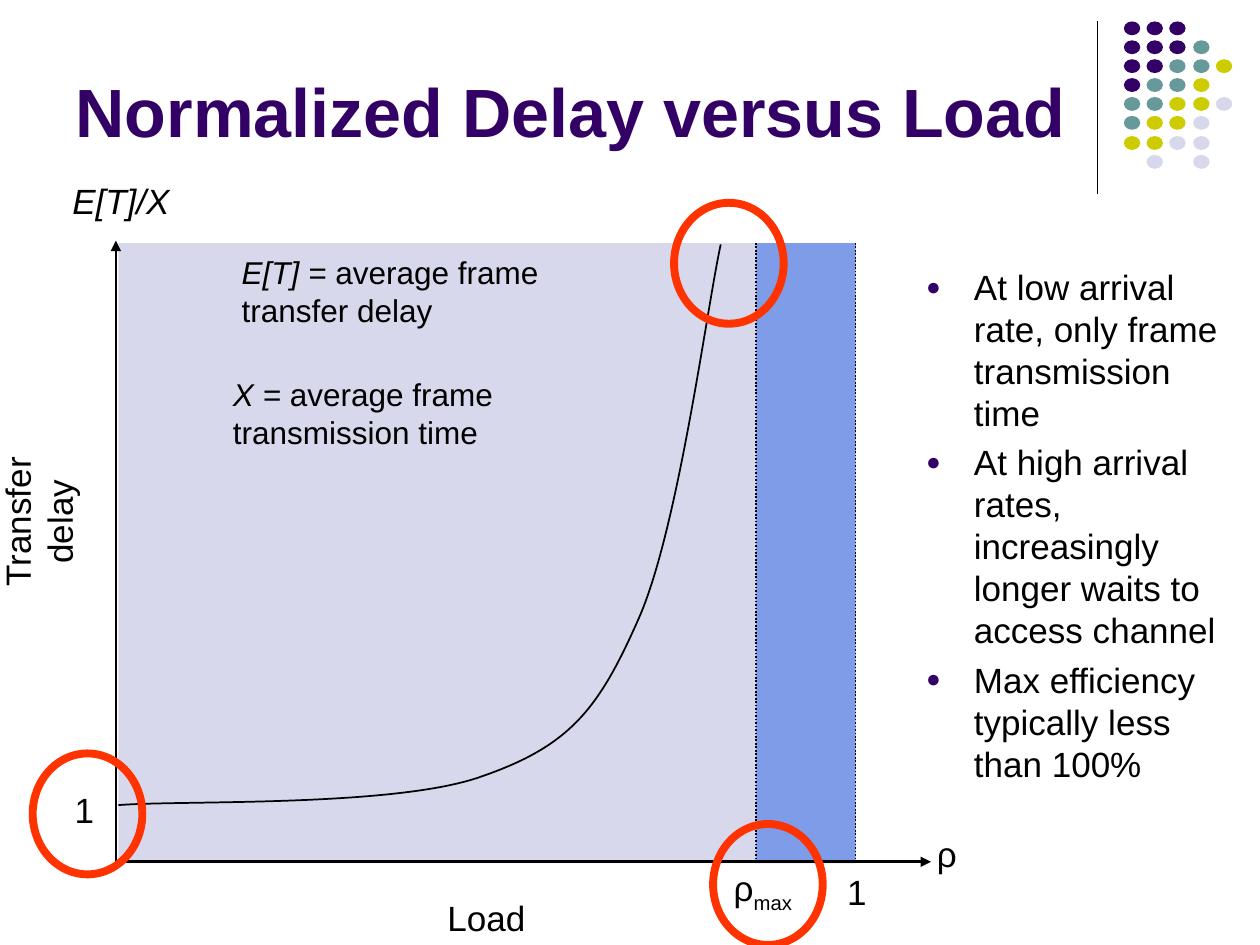
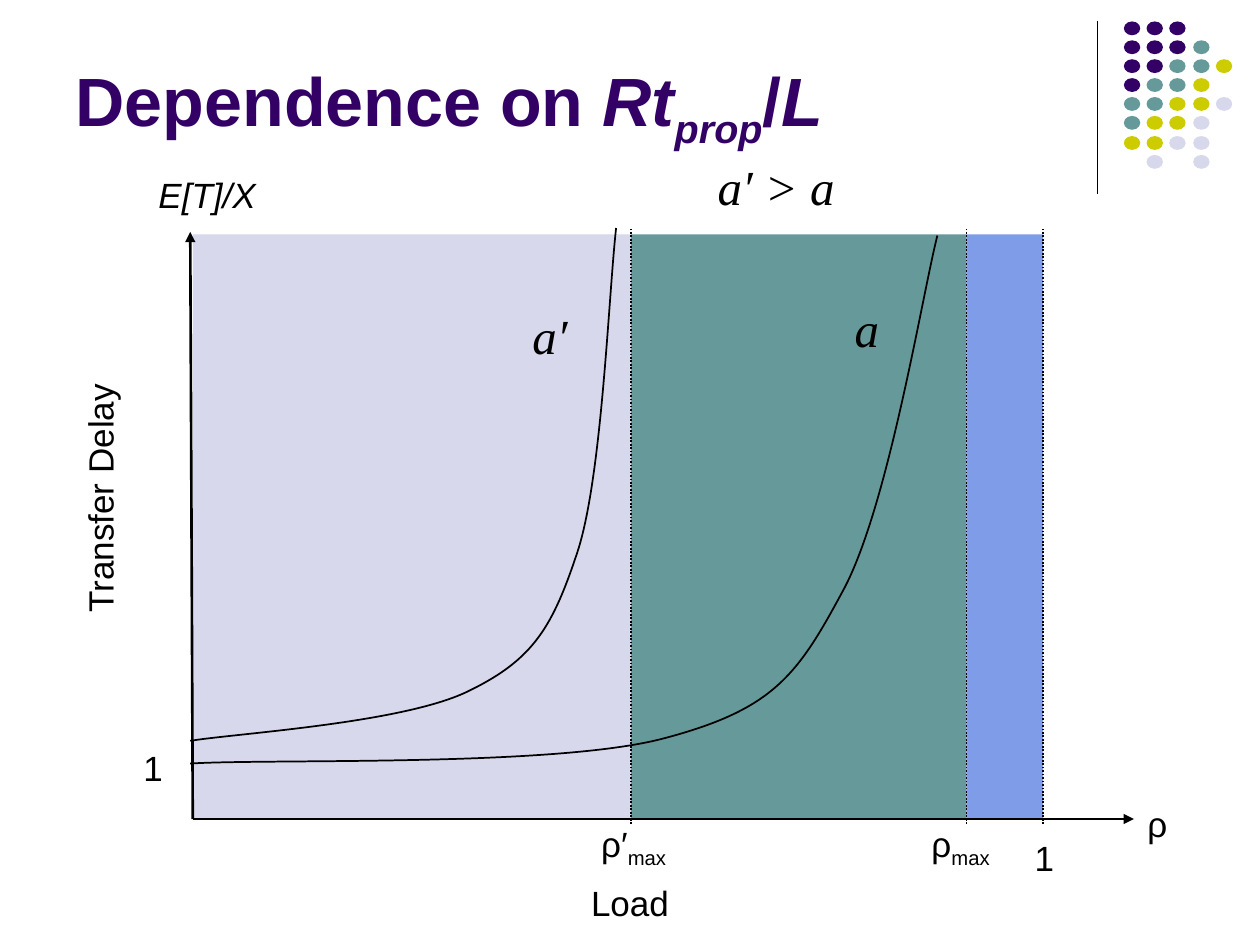
from lxml import etree
from pptx import Presentation, util as u
from pptx.dml.color import RGBColor
from pptx.enum import dml, shapes, text
from pptx.oxml.ns import qn

PX = u.Inches(1) // 100
COLOURS = {
    "ink": "000000",
    "purple": "330066",
    "teal": "669999",
    "olive": "CCCC00",
    "lavender": "D8D8EC",
    "blue": "7E9CE8",
    "red": "FF3300",
}
DOT_COLOURS = {"p": "purple", "t": "teal", "y": "olive", "l": "lavender"}
DOT_ROWS = ["ppp", "pppt", "pptty", "ptty", "ttyyl", "tyyl", "yyll", " l l"]
TITLE = {"size": u.Pt(39), "bold": True, "name": "Arial"}
LABEL = {"size": u.Pt(20), "bold": False, "name": "Arial"}
NOTE = {**LABEL, "size": u.Pt(18)}
VARIABLE = {"size": u.Pt(28), "italic": True, "name": "Times New Roman"}
ITALIC = {"italic": True}
SUBSCRIPT = {"baseline": -25000}
RHO_MAX = ["ρ", ("max", SUBSCRIPT)]
LEFT, CENTER = text.PP_ALIGN.LEFT, text.PP_ALIGN.CENTER
TOP, MIDDLE, BOTTOM = (text.MSO_ANCHOR.TOP, text.MSO_ANCHOR.MIDDLE,
                       text.MSO_ANCHOR.BOTTOM)


def rgb(name):
    return RGBColor.from_string(COLOURS[name])


def apply(target, values):
    for name, value in values.items():
        setattr(target, name, value)


def add_xml(parent, tag, **attributes):
    return etree.SubElement(parent, qn(tag), attributes)


class Deck:
    def __init__(self):
        self.presentation = Presentation()
        apply(self.presentation,
              {"slide_width": 1000 * PX, "slide_height": 750 * PX})
        self.slide = None

    def add_slide(self, layout, title):
        layouts = self.presentation.slide_layouts
        self.slide = self.presentation.slides.add_slide(
            layouts.get_by_name(layout))
        self.fill_placeholder(self.slide.shapes.title, (50, 13, 825, 112),
                              [title], TITLE, "purple", BOTTOM)
        self.corner_dots()

    def place(self, shape, at):
        sides = ("left", "top", "width", "height")
        apply(shape, {side: px * PX for side, px in zip(sides, at)})

    def fill_text(self, frame, paragraphs, style, colour="ink", align=LEFT,
                  anchor=TOP, wrap=True):
        """Fill a frame; a paragraph is a list of strings or (string, format)."""
        apply(frame, {"word_wrap": wrap, "vertical_anchor": anchor,
                      "auto_size": text.MSO_AUTO_SIZE.NONE})
        for index, pieces in enumerate(paragraphs):
            paragraph = frame.add_paragraph() if index else frame.paragraphs[0]
            paragraph.alignment = align
            for piece in pieces:
                words, extra = (piece, {}) if isinstance(piece, str) else piece
                values = {**style, **extra}
                baseline = values.pop("baseline", None)
                run = paragraph.add_run()
                run.text = words
                apply(run.font, values)
                run.font.color.rgb = rgb(colour)
                if baseline:
                    run._r.get_or_add_rPr().set("baseline", str(baseline))

    def fill_placeholder(self, shape, at, paragraphs, style, colour, anchor):
        self.place(shape, at)
        self.fill_text(shape.text_frame, paragraphs, style, colour,
                       anchor=anchor)

    def bullets(self, at, items):
        body = self.slide.placeholders[1]
        self.fill_placeholder(body, at, [[item] for item in items],
                              LABEL, "ink", TOP)
        for paragraph in body.text_frame.paragraphs:
            paragraph.space_before = u.Pt(4)
            properties = paragraph._p.get_or_add_pPr()
            properties.set("marL", str(38 * PX))
            properties.set("indent", str(-38 * PX))
            colour = add_xml(properties, "a:buClr")
            add_xml(colour, "a:srgbClr", val=COLOURS["purple"])
            add_xml(properties, "a:buSzPct", val="70000")
            add_xml(properties, "a:buFont", typeface="Arial")
            add_xml(properties, "a:buChar", char="●")

    def text_box(self, at, paragraphs, style):
        box = self.slide.shapes.add_textbox(0, 0, 0, 0)
        self.place(box, at)
        self.fill_text(box.text_frame, paragraphs, style)

    def label(self, at, pieces, style=LABEL, rotation=0, wrap=False):
        box = self.slide.shapes.add_textbox(0, 0, 0, 0)
        self.place(box, at)
        box.rotation = rotation
        self.fill_text(box.text_frame, [pieces], style, align=CENTER,
                       anchor=MIDDLE, wrap=wrap)

    def outline(self, shape, colour, width):
        shape.line.color.rgb = rgb(colour)
        shape.line.width = u.Pt(width)

    def shape(self, kind, at, fill=None, line=None, width=1):
        shape = self.slide.shapes.add_shape(kind, 0, 0, 0, 0)
        self.place(shape, at)
        shape.shadow.inherit = False
        if fill:
            shape.fill.solid()
            shape.fill.fore_color.rgb = rgb(fill)
        else:
            shape.fill.background()
        if line:
            self.outline(shape, line, width)
        else:
            shape.line.fill.background()

    def line(self, ends, width, dash=None, arrow=False):
        connector = self.slide.shapes.add_connector(
            shapes.MSO_CONNECTOR.STRAIGHT, *(px * PX for px in ends))
        self.outline(connector, "ink", width)
        if dash:
            connector.line.dash_style = dash
        if arrow:
            add_xml(connector.line._get_or_add_ln(), "a:tailEnd",
                    type="triangle")
        add_xml(connector._element.spPr, "a:effectLst")

    def curve(self, points):
        """Draw cubic curves: a start, then two controls and an end for each."""
        builder = self.slide.shapes.build_freeform(*points[0], scale=PX)
        builder.add_line_segments(points[1:], close=False)
        shape = builder.convert_to_shape()
        shape.shadow.inherit = False
        shape.fill.background()
        self.outline(shape, "ink", 1)
        segments = list(shape._element.iter(qn("a:lnTo")))
        outline = segments[0].getparent()
        for start in range(0, len(segments), 3):
            cubic = add_xml(outline, "a:cubicBezTo")
            for segment in segments[start:start + 3]:
                cubic.append(segment[0])
                outline.remove(segment)

    def corner_dots(self):
        self.line((871, 17, 871, 154), 0.75)
        for row, codes in enumerate(DOT_ROWS):
            for column, code in enumerate(codes):
                if code in DOT_COLOURS:
                    left = round(892 + 18.25 * column)
                    top = round(17 + 15.1 * row)
                    self.shape(shapes.MSO_SHAPE.OVAL, (left, top, 13, 11),
                               DOT_COLOURS[code])

    def plot(self, left, top, height, bands, axes, limit_ends, curves):
        """Draw bands of (right edge, colour), dotted limits, axes and curves."""
        for right, colour in bands:
            self.shape(shapes.MSO_SHAPE.RECTANGLE,
                       (left, top, right - left, height), colour)
            left = right
        for axis in axes:
            self.line(axis, 1.5, arrow=True)
        for right, _ in bands:
            self.line((right, limit_ends[0], right, limit_ends[1]), 1,
                      dash=dml.MSO_LINE.ROUND_DOT)
        for points in curves:
            self.curve(points)


def add_delay_versus_load(deck):
    deck.add_slide("Title and Content", ["Normalized Delay versus Load"])
    deck.plot(
        94, 193, 492, [(600, "lavender"), (679, "blue")],
        axes=[(91, 684, 739, 684), (92, 687, 92, 191)],
        limit_ends=(682, 193),
        curves=[[(94, 639), (142, 635), (315, 641), (383, 616),
                 (452, 592), (475, 563), (506, 493),
                 (538, 423), (561, 244), (572, 194)]])
    deck.label((-45, 377, 150, 74), ["Transfer delay"], rotation=270, wrap=True)
    for at, pieces in [
        ((345, 707, 82, 43), ["Load"]),
        ((40, 138, 112, 43), [("E[T]/X", ITALIC)]),
        ((734, 656, 35, 43), ["ρ"]),
        ((567, 685, 77, 43), RHO_MAX),
        ((662, 686, 36, 43), ["1"]),
        ((49, 621, 36, 43), ["1"]),
    ]:
        deck.label(at, pieces)
    deck.text_box((182, 196, 298, 70),
                  [[("E[T] =", ITALIC), " average frame"], ["transfer delay"]],
                  NOTE)
    deck.text_box((175, 293, 325, 70),
                  [[("X =", ITALIC), " average frame"], ["transmission time"]],
                  NOTE)
    deck.bullets((725, 206, 257, 434), [
        "At low arrival rate, only frame transmission time",
        "At high arrival rates, increasingly longer waits to access channel",
        "Max efficiency typically less than 100%",
    ])
    for left, top in [(26, 598), (535, 161), (566, 654)]:
        deck.shape(shapes.MSO_SHAPE.OVAL, (left, top, 87, 96),
                   line="red", width=4.5)


def add_dependence_on_ratio(deck):
    deck.add_slide("Title Only", [
        "Dependence on ", ("Rt", ITALIC), ("prop", {**ITALIC, **SUBSCRIPT}),
        "/", ("L", ITALIC)])
    deck.plot(
        153, 186, 464, [(501, "lavender"), (767, "teal"), (828, "blue")],
        axes=[(153, 650, 900, 650), (153, 650, 151, 184)],
        limit_ends=(654, 182),
        curves=[[(151, 606), (214, 602), (441, 609), (527, 586),
                 (614, 563), (633, 536), (669, 469),
                 (705, 403), (732, 234), (744, 187)],
                [(151, 588), (188, 582), (322, 574), (373, 548),
                 (424, 523), (439, 497), (459, 436),
                 (478, 375), (483, 235), (489, 181)]])
    deck.label((-22, 374, 202, 43), ["Transfer Delay"], rotation=270)
    for at, pieces in [
        ((459, 695, 82, 43), ["Load"]),
        ((116, 133, 97, 43), [("E[T]/X", ITALIC)]),
        ((901, 632, 35, 43), ["ρ"]),
        ((716, 650, 93, 43), RHO_MAX),
        ((450, 650, 106, 43), ["ρ′", ("max", SUBSCRIPT)]),
        ((811, 659, 36, 43), ["1"]),
        ((104, 588, 35, 43), ["1"]),
    ]:
        deck.label(at, pieces)
    for at, words in [
        ((668, 232, 40, 57), "a"),
        ((412, 237, 49, 57), "a′"),
        ((559, 119, 114, 57), "a′ > a"),
    ]:
        deck.label(at, [words], VARIABLE)


def main():
    deck = Deck()
    add_delay_versus_load(deck)
    add_dependence_on_ratio(deck)
    deck.presentation.save("out.pptx")


if __name__ == "__main__":
    main()
